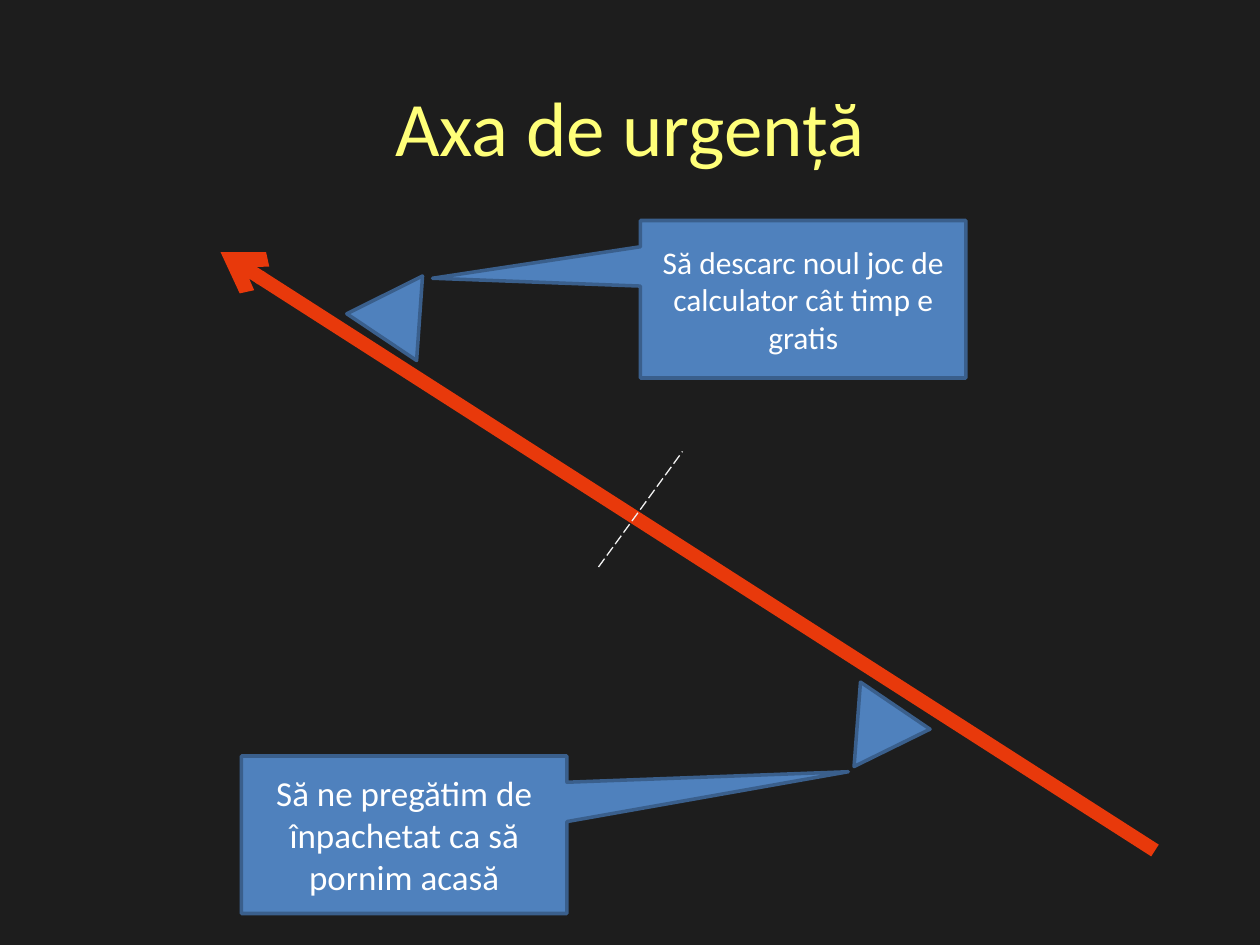
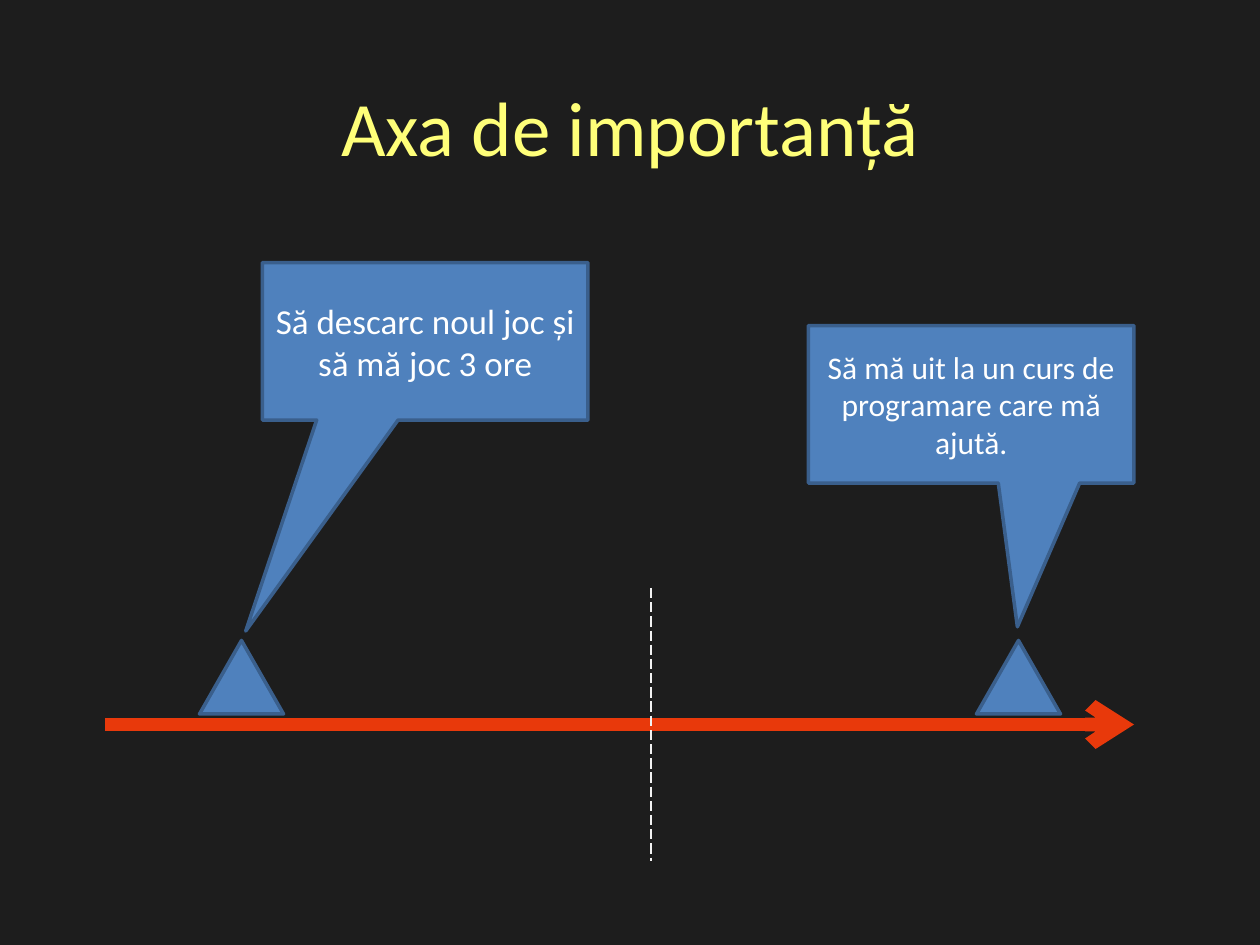
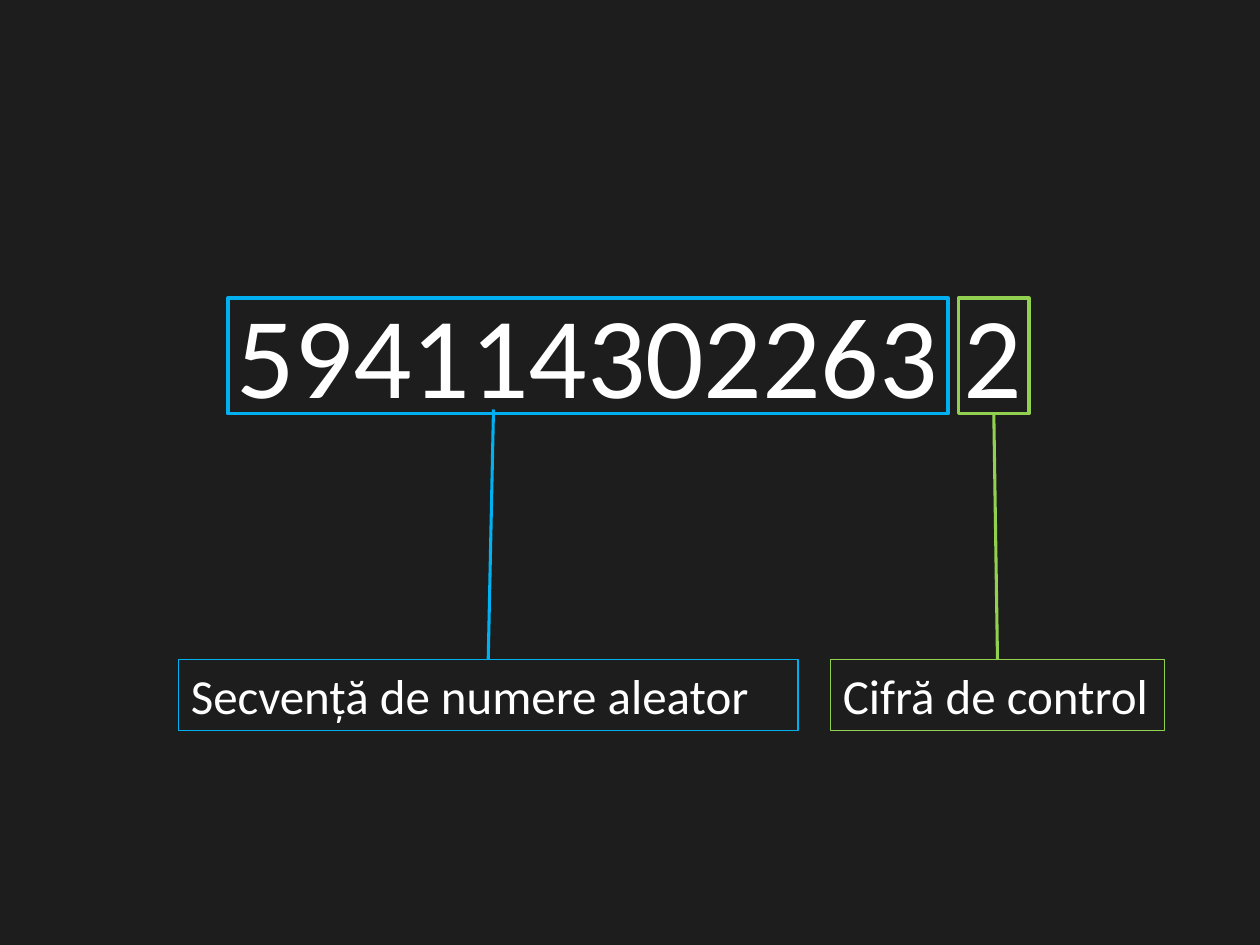
from lxml import etree
from pptx import Presentation
from pptx.dml.color import RGBColor
from pptx.enum.dml import MSO_LINE
from pptx.enum.shapes import MSO_CONNECTOR, MSO_SHAPE
from pptx.enum.text import MSO_ANCHOR, MSO_AUTO_SIZE, PP_ALIGN
from pptx.oxml.ns import qn
from pptx.util import Pt

PX = 7620  # EMU in one px, 120 px to the inch
WIDTH, HEIGHT = 1200, 900

STRAIGHT = MSO_CONNECTOR.STRAIGHT
RECTANGLE = MSO_SHAPE.RECTANGLE
TRIANGLE = MSO_SHAPE.ISOSCELES_TRIANGLE
CALLOUT = MSO_SHAPE.RECTANGULAR_CALLOUT
LONG_DASH = MSO_LINE.LONG_DASH
LEFT, CENTER = PP_ALIGN.LEFT, PP_ALIGN.CENTER
TOP, MIDDLE = MSO_ANCHOR.TOP, MSO_ANCHOR.MIDDLE
GROW = MSO_AUTO_SIZE.SHAPE_TO_FIT_TEXT
SIDE_TOP, SIDE_BOTTOM = 0, 2

# Shared colours and sizes
FONT = "Calibri"
BACKGROUND = "1D1D1D"
TITLE_YELLOW = "FFFF79"
WHITE = "FFFFFF"
AXIS_RED = "E8390B"
DIVIDER_GREY = "F2F2F2"
MARK_FILL, MARK_EDGE = "4F81BD", "3A5F8C"
BLUE, GREEN = "00B0F0", "92D050"
CALLOUT_SIZE = (310, 150)
MARKER_SIZE = (80, 70)


def rgb(color):
    return RGBColor.from_string(color)


def emu(*lengths):
    return [length * PX for length in lengths]


class Deck:
    """Holds the style and the current slide."""

    def __init__(self):
        self.prs = Presentation()
        self.prs.slide_width, self.prs.slide_height = emu(WIDTH, HEIGHT)
        self.slide = None

    def new_slide(self):
        self.slide = self.prs.slides.add_slide(self.prs.slide_layouts[6])
        self.slide.background.fill.solid()
        self.slide.background.fill.fore_color.rgb = rgb(BACKGROUND)

    def set_text(self, shape, text, size, color=WHITE, align=CENTER, **frame_format):
        frame = shape.text_frame
        settings = {"word_wrap": True, "vertical_anchor": TOP, **frame_format}
        for name, value in settings.items():
            setattr(frame, name, value)
        paragraph = frame.paragraphs[0]
        paragraph.alignment = align
        run = paragraph.add_run()
        run.text = text
        for name, value in {"name": FONT, "size": Pt(size)}.items():
            setattr(run.font, name, value)
        run.font.color.rgb = rgb(color)

    def headline(self, text, top, height, size, color):
        box = self.slide.shapes.add_textbox(*emu(0, top, WIDTH, height))
        self.set_text(box, text, size, color, auto_size=GROW)

    def shape(self, kind, box, edge, weight, fill=None):
        shape = self.slide.shapes.add_shape(kind, *emu(*box))
        shape.shadow.inherit = False
        if fill:
            shape.fill.solid()
            shape.fill.fore_color.rgb = rgb(fill)
        else:
            shape.fill.background()
        shape.line.color.rgb = rgb(edge)
        shape.line.width = Pt(weight)
        return shape

    def line(self, start, end, color, weight, dash=None, arrow=False):
        line = self.slide.shapes.add_connector(STRAIGHT, *emu(*start, *end))
        line.line.color.rgb = rgb(color)
        line.line.width = Pt(weight)
        if dash:
            line.line.dash_style = dash
        properties = line._element.spPr
        if arrow:
            etree.SubElement(properties.find(qn("a:ln")), qn("a:tailEnd"), type="arrow")
        etree.SubElement(properties, qn("a:effectLst"))
        return line

    def axis(self, title, start, end, divider):
        self.line(start, end, AXIS_RED, 8, arrow=True)
        self.line(*divider, DIVIDER_GREY, 0.75, dash=LONG_DASH)
        self.headline(title, 70, 101, 44, TITLE_YELLOW)

    def marker(self, left, top, rotation=0):
        marker = self.shape(TRIANGLE, (left, top, *MARKER_SIZE), MARK_EDGE, 2, MARK_FILL)
        marker.rotation = rotation

    def callout(self, text, corner, tip, size):
        callout = self.shape(CALLOUT, (*corner, *CALLOUT_SIZE), MARK_EDGE, 2, MARK_FILL)
        # The tip is set as a share of the size, from the centre
        for i, length in enumerate(CALLOUT_SIZE):
            callout.adjustments[i] = (tip[i] - corner[i]) / length - 0.5
        self.set_text(callout, text, size, vertical_anchor=MIDDLE)

    def frame(self, left, width, color):
        return self.shape(RECTANGLE, (left, 284, width, 110), color, 2)

    def label(self, text, left, width, color, wrap=True):
        label = self.shape(RECTANGLE, (left, 628, width, 68), color, 0.75)
        self.set_text(label, text, 28, align=LEFT, word_wrap=wrap, auto_size=GROW)
        return label


def main():
    deck = Deck()

    # Urgency axis
    deck.new_slide()
    deck.axis("Axa de urgență", (1100, 810), (210, 240), ((570, 540), (650, 430)))
    deck.marker(343, 257, 33.8)
    deck.marker(793, 666, 214.1)
    deck.callout("Să ne pregătim de înpachetat ca să pornim acasă",
                 (230, 720), (808, 735), 20)
    deck.callout("Să descarc noul joc de calculator cât timp e gratis",
                 (610, 210), (412, 265), 18)

    # Importance axis
    deck.new_slide()
    deck.axis("Axa de importanță", (100, 690), (1080, 690), ((620, 560), (620, 820)))
    for left in (930, 190):
        deck.marker(left, 610)
    deck.callout("Să descarc noul joc și să mă joc 3 ore", (250, 250), (234, 601), 20)
    deck.callout("Să mă uit la un curs de programare care mă ajută.",
                 (770, 310), (969, 597), 18)

    # Number with its check digit
    deck.new_slide()
    deck.headline("594114302263 2", 264, 145, 66, WHITE)

    check_digit = deck.frame(913, 67, GREEN)
    check_label = deck.label("Cifră de control", 791, 318, GREEN, wrap=False)
    check_link = deck.line((950, 628), (947, 394), GREEN, 1.75)
    check_link.begin_connect(check_label, SIDE_TOP)
    check_link.end_connect(check_digit, SIDE_BOTTOM)

    deck.frame(217, 686, BLUE)
    sequence_label = deck.label("Secvență de numere aleator", 170, 590, BLUE)
    sequence_link = deck.line((465, 628), (470, 390), BLUE, 1.75)
    sequence_link.begin_connect(sequence_label, SIDE_TOP)

    deck.prs.save("out.pptx")


if __name__ == "__main__":
    main()
